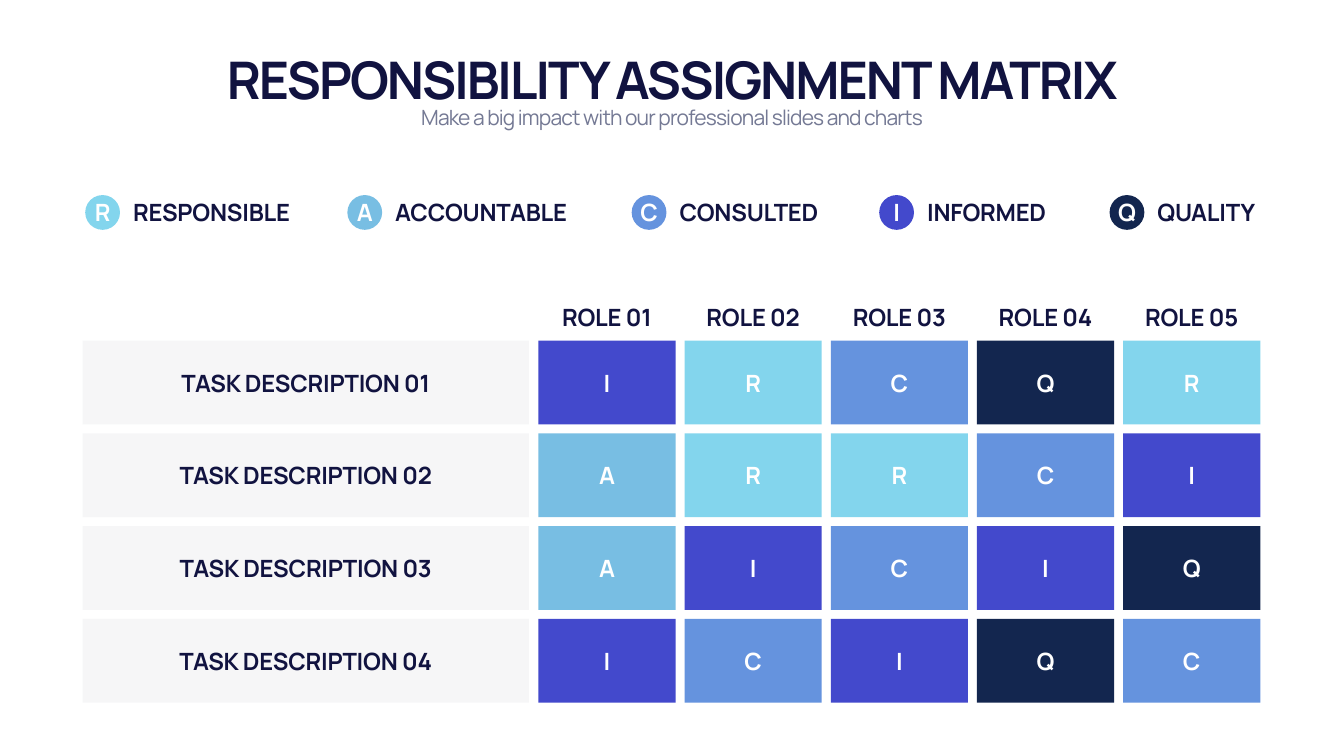
from lxml import etree
from pptx import Presentation
from pptx import util as u
from pptx.dml.color import RGBColor
from pptx.enum import shapes, text
from pptx.oxml.ns import qn

WIDE, HIGH = 26.66, 15
GAP = 0.18
TILE_W, TILE_H = 2.72, 1.66
LEFT, TOP = 10.68, 6.76
TASK_X, TASK_W = 1.64, 8.85
LINE = 0.67
DISC, DISC_Y = 0.69, 3.87

HUES = {
    "ink": "111340", "gray": "747994", "white": "FFFFFF", "task": "C3C8CE",
    "R": "83D5ED", "A": "78BEE3", "C": "6593DE", "I": "4349CC", "Q": "13264F",
}
LEGEND = [
    ("RESPONSIBLE", 1.69, 3.37),
    ("ACCOUNTABLE", 6.89, 3.74),
    ("CONSULTED", 12.53, 2.99),
    ("INFORMED", 17.44, 2.68),
    ("QUALITY", 22.01, 2.23),
]
MATRIX = ["IRCQR", "ARRCI", "AICIQ", "ICIQC"]
ALIGN, ANCHOR = text.PP_ALIGN, text.MSO_ANCHOR


def col(n):
    """Return the left edge of role column n."""
    return LEFT + n * (TILE_W + GAP)


def row(n):
    """Return the top edge of task row n."""
    return TOP + n * (TILE_H + GAP)


def write(shape, words, hue, size=34, bold=True, track=-0.3,
          align=ALIGN.CENTER, anchor=ANCHOR.MIDDLE, inset=0.08):
    """Put one formatted line of text into a shape."""
    frame = shape.text_frame
    frame.text = words
    frame.word_wrap = True
    frame.vertical_anchor = anchor
    frame.margin_left = frame.margin_right = u.Inches(inset)
    frame.margin_top = frame.margin_bottom = 0
    line = frame.paragraphs[0]
    line.alignment = align
    run = line.runs[0]
    run.font.name = "Manrope"
    run.font.size = u.Pt(size)
    run.font.bold = bold
    run.font.color.rgb = RGBColor.from_string(HUES[hue])
    run._r.get_or_add_rPr().set("spc", str(round(track * 100)))


def label(slide, words, box, hue="ink", **style):
    """Add a text box that grows to fit its line."""
    shape = slide.shapes.add_textbox(*map(u.Inches, box))
    write(shape, words, hue, **style)
    shape.text_frame.auto_size = text.MSO_AUTO_SIZE.SHAPE_TO_FIT_TEXT


def block(slide, kind, box, fill, words, hue="white", alpha=None, inset=0.08):
    """Add a plain filled shape with centred text."""
    shape = slide.shapes.add_shape(kind, *map(u.Inches, box))
    shape.shadow.inherit = False
    shape.line.fill.background()
    shape.fill.solid()
    shape.fill.fore_color.rgb = RGBColor.from_string(HUES[fill])
    if alpha:
        tint = shape._element.spPr.find(qn("a:solidFill"))[0]
        etree.SubElement(tint, qn("a:alpha")).set("val", str(alpha * 1000))
    write(shape, words, hue, inset=inset)


def header(slide):
    """Add the title and the line below it."""
    side, span = WIDE / 16, WIDE * 7 / 8
    label(slide, "RESPONSIBILITY ASSIGNMENT MATRIX", (side, 0.82, span, 1.35),
          size=74, track=-2.9, anchor=ANCHOR.BOTTOM)
    label(slide, "Make a big impact with our professional slides and charts",
          (side, 2.07, span, 0.61), "gray", size=30, bold=False, track=-1.2,
          anchor=ANCHOR.TOP)


def legend(slide):
    """Add a lettered disc and a name for each code."""
    for name, left, width in LEGEND:
        block(slide, shapes.MSO_SHAPE.OVAL, (left, DISC_Y, DISC, DISC),
              name[0], name[0], inset=0)
        label(slide, name, (left + DISC + GAP, DISC_Y + 0.01, width, LINE),
              align=ALIGN.LEFT)


def matrix(slide):
    """Add the role heads, the task bars and the code tiles."""
    kind = shapes.MSO_SHAPE.RECTANGLE
    for c in range(len(MATRIX[0])):
        label(slide, f"ROLE {c + 1:02}", (col(c), TOP - GAP - LINE, TILE_W, LINE),
              anchor=ANCHOR.BOTTOM)
    for r, codes in enumerate(MATRIX):
        block(slide, kind, (TASK_X, row(r), TASK_W, TILE_H), "task",
              f"TASK DESCRIPTION {r + 1:02}", "ink", alpha=15)
        for c, code in enumerate(codes):
            block(slide, kind, (col(c), row(r), TILE_W, TILE_H), code, code)


def main():
    """Build the slide and save it."""
    deck = Presentation()
    deck.slide_width, deck.slide_height = u.Inches(WIDE), u.Inches(HIGH)
    slide = deck.slides.add_slide(deck.slide_layouts[6])
    header(slide)
    legend(slide)
    matrix(slide)
    deck.save("out.pptx")


if __name__ == "__main__":
    main()
